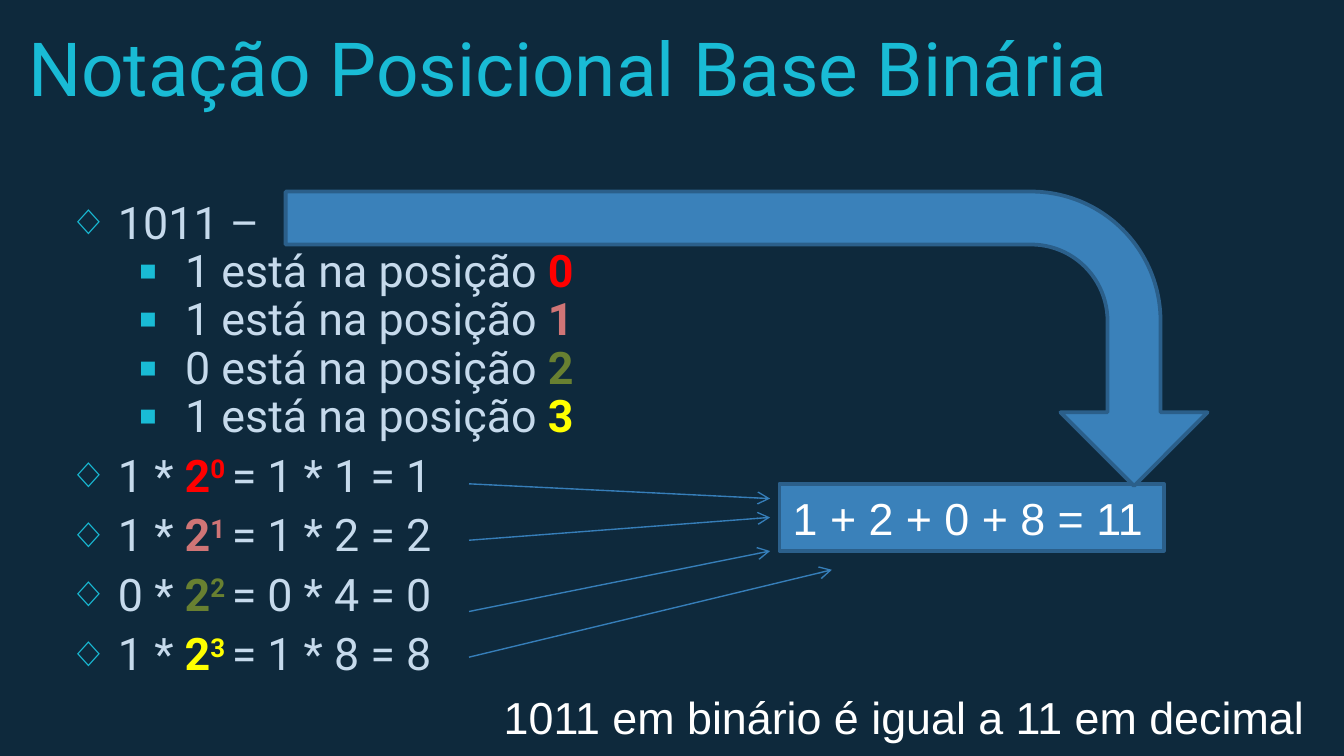
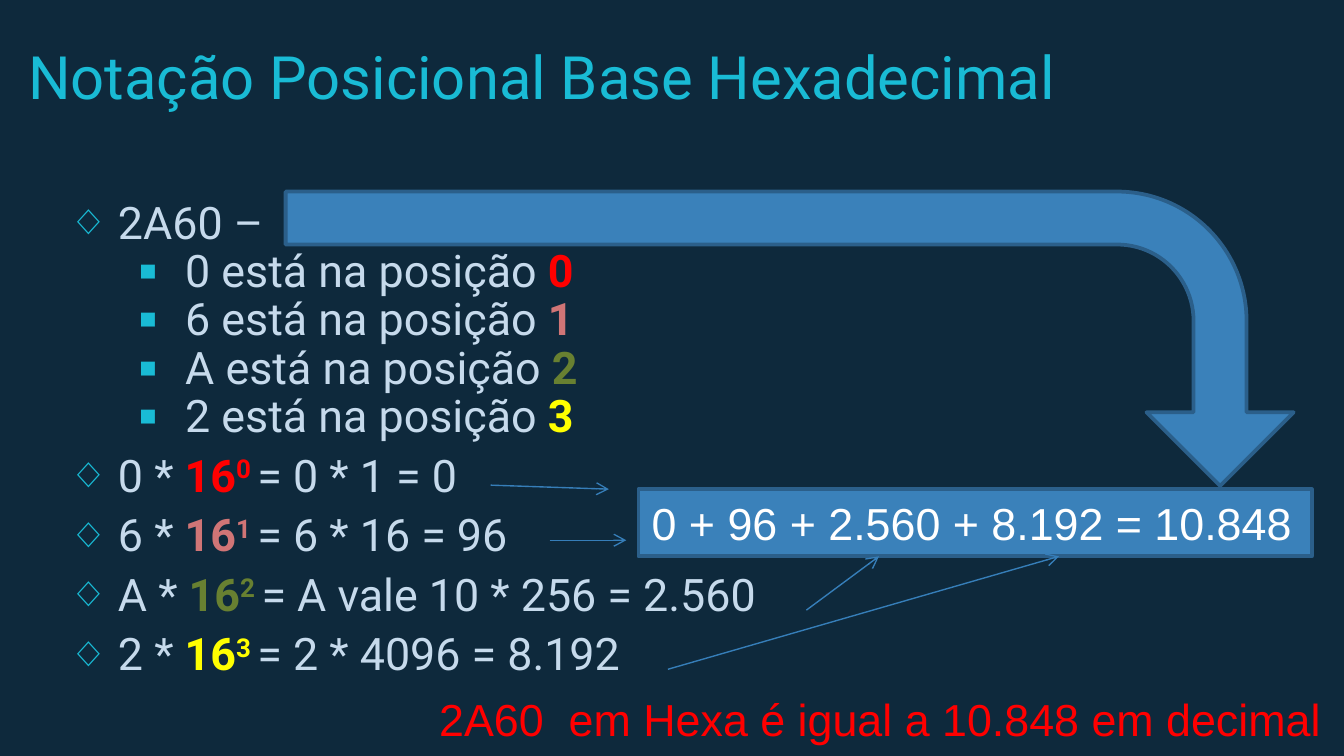
from dataclasses import dataclass

from lxml.etree import SubElement
from pptx import Presentation
from pptx.dml.color import RGBColor
from pptx.enum.shapes import MSO_CONNECTOR, MSO_SHAPE
from pptx.enum.text import MSO_ANCHOR, MSO_AUTO_SIZE, PP_ALIGN
from pptx.oxml.ns import qn
from pptx.util import Inches, Pt

WIDTH = Inches(10)
HEIGHT = WIDTH * 9 // 16
CELL = WIDTH / 100  # square grid, 100 columns wide

NAVY, CYAN, PALE, WHITE = "0E293C", "19BBD5", "C6DAEC", "FFFFFF"
BLUE, EDGE, THIN = "3A81BA", "2B5F8A", "367EB9"
RED = "FF0000"
POWERS = (RED, "D07576", "688031", "FFFF00")  # colour of each position
MARKS = (("◇", 82), ("▪", 125))  # bullet and percent of text size, by level

Run = tuple[str, str, bool, bool]  # text, colour, bold, raised


@dataclass(frozen=True)
class Box:
    left: float
    top: float
    width: float
    height: float

    def place(self) -> tuple[int, ...]:
        return tuple(cells(n) for n in
                     (self.left, self.top, self.width, self.height))


@dataclass(frozen=True)
class Term:
    digit: str
    product: str
    start: tuple[float, float]
    end: tuple[float, float]


@dataclass(frozen=True)
class Lesson:
    title: str
    size: int
    number: str
    base: int
    terms: tuple[Term, ...]
    sum: str
    sum_box: Box
    bend: float  # width of the bent arrow
    result: str
    result_box: Box
    result_hue: str


TITLE = Box(1.1, 2.2, 98, 7.1)
BODY = Box(2.8, 13.9, 95, 18.2)
BEND_LEFT, BEND_TOP, BEND_HEIGHT = 21.25, 14.25, 21.9

LESSONS = (
    Lesson(
        "Notação Posicional Base Binária", 40, "1011", 2,
        (Term("1", "1 * 1 = 1", (34.9, 36), (57.3, 37.1)),
         Term("1", "1 * 2 = 2", (34.9, 40.2), (57.3, 38.5)),
         Term("0", "0 * 4 = 0", (34.9, 45.5), (57.3, 41)),
         Term("1", "1 * 8 = 8", (34.9, 48.9), (61.9, 42.4))),
        "1 + 2 + 0 + 8 = 11", Box(58, 36, 28.6, 5), 68.6,
        "1011 em binário é igual a 11 em decimal",
        Box(36.5, 50.8, 62.7, 5), WHITE),
    Lesson(
        "Notação Posicional Base Hexadecimal", 32, "2A60", 16,
        (Term("0", "0 * 1 = 0", (36.5, 36.1), (45.3, 36.4)),
         Term("6", "6 * 16 = 96", (40.9, 40.2), (46.6, 40.2)),
         Term("A", "A vale 10 * 256 = 2.560", (60, 45.4), (65.4, 41.4)),
         Term("2", "2 * 4096 = 8.192", (49.7, 49.8), (78.8, 41.4))),
        "0 + 96 + 2.560 + 8.192 = 10.848", Box(47.5, 36.4, 50.1, 5), 75,
        "2A60  em Hexa é igual a 10.848 em decimal",
        Box(31.7, 51, 68.3, 5), RED),
)


def cells(count: float) -> int:
    return round(count * CELL)


def color(code: str) -> RGBColor:
    return RGBColor.from_string(code)


def style(par, face: str, size: int, hue: str) -> None:
    par.alignment = PP_ALIGN.LEFT
    par.font.name = face
    par.font.size = Pt(size)
    par.font.color.rgb = color(hue)


def pad(frame) -> None:
    """Give a text frame equal insets and a fixed size."""
    frame.word_wrap = True
    frame.auto_size = MSO_AUTO_SIZE.NONE
    frame.margin_left = frame.margin_right = cells(1)
    frame.margin_top = frame.margin_bottom = cells(1)


def add_title(slide, lesson: Lesson) -> None:
    title = slide.shapes.title
    title.left, title.top, title.width, title.height = TITLE.place()
    frame = title.text_frame
    pad(frame)
    frame.vertical_anchor = MSO_ANCHOR.BOTTOM
    frame.text = lesson.title
    style(frame.paragraphs[0], "Roboto", lesson.size, CYAN)


def add_mark(par, level: int) -> None:
    """Set the bullet and the hanging indent of a level."""
    char, share = MARKS[level]
    props = par._p.get_or_add_pPr()
    props.set("marL", str(cells(5 * (level + 1))))
    props.set("indent", str(cells(-3.5)))
    tint = SubElement(props, qn("a:buClr"))
    SubElement(tint, qn("a:srgbClr"), val=CYAN)
    SubElement(props, qn("a:buSzPct"), val=str(share * 1000))
    SubElement(props, qn("a:buFont"), typeface="Arial")
    SubElement(props, qn("a:buChar"), char=char)


def add_item(par, level: int, runs: list[Run]) -> None:
    """Fill one bulleted paragraph of the body."""
    par.level = level
    add_mark(par, level)
    par.line_spacing = 0.9
    par.space_before = Pt(0 if level else 6)
    style(par, "Roboto", 24, PALE)
    for text, hue, bold, raised in runs:
        run = par.add_run()
        run.text = text
        run.font.bold = bold
        run.font.color.rgb = color(hue)
        if raised:
            run.font._element.set("baseline", "30000")


def add_body(slide, lesson: Lesson) -> None:
    frame = slide.shapes.add_textbox(*BODY.place()).text_frame
    pad(frame)
    pairs = list(enumerate(zip(lesson.terms, POWERS)))
    items = [(0, [(f"{lesson.number} –", PALE, False, False)])]
    items += [(1, [(f"{term.digit} está na posição ", PALE, False, False),
                   (str(power), hue, True, False)])
              for power, (term, hue) in pairs]
    items += [(0, [(f"{term.digit} * ", PALE, False, False),
                   (str(lesson.base), hue, True, False),
                   (f"{power} ", hue, True, True),
                   (f"= {term.product}", PALE, False, False)])
              for power, (term, hue) in pairs]
    for index, (level, runs) in enumerate(items):
        par = frame.add_paragraph() if index else frame.paragraphs[0]
        add_item(par, level, runs)


def paint(shape) -> None:
    shape.shadow.inherit = False
    shape.fill.solid()
    shape.fill.fore_color.rgb = color(BLUE)
    shape.line.color.rgb = color(EDGE)
    shape.line.width = Pt(2)


def write(shape, text: str, hue: str) -> None:
    frame = shape.text_frame
    frame.word_wrap = False
    frame.auto_size = MSO_AUTO_SIZE.SHAPE_TO_FIT_TEXT
    frame.vertical_anchor = MSO_ANCHOR.TOP
    frame.text = text
    style(frame.paragraphs[0], "Arial", 24, hue)


def add_sum(slide, lesson: Lesson) -> None:
    shape = slide.shapes.add_shape(MSO_SHAPE.RECTANGLE,
                                   *lesson.sum_box.place())
    paint(shape)
    write(shape, lesson.sum, WHITE)


def add_arrow(slide, term: Term) -> None:
    ends = [cells(n) for n in term.start + term.end]
    arrow = slide.shapes.add_connector(MSO_CONNECTOR.STRAIGHT, *ends)
    arrow.line.color.rgb = color(THIN)
    arrow.line.width = Pt(0.75)
    props = arrow._element.spPr
    SubElement(props.find(qn("a:ln")), qn("a:tailEnd"), type="arrow")
    SubElement(props, qn("a:effectLst"))


def add_bend(slide, width: float) -> None:
    """Draw the bent arrow, turned a quarter about its centre."""
    shift = (width - BEND_HEIGHT) / 2
    box = Box(BEND_LEFT + shift, BEND_TOP - shift, BEND_HEIGHT, width)
    bend = slide.shapes.add_shape(MSO_SHAPE.BENT_ARROW, *box.place())
    bend.rotation = 90
    for index, share in enumerate((0.18, 0.25, 0.25, 0.44)):
        bend.adjustments[index] = share
    paint(bend)


def add_result(slide, lesson: Lesson) -> None:
    box = slide.shapes.add_textbox(*lesson.result_box.place())
    write(box, lesson.result, lesson.result_hue)


def main() -> None:
    deck = Presentation()
    deck.slide_width, deck.slide_height = WIDTH, HEIGHT
    back = deck.slide_master.background.fill
    back.solid()
    back.fore_color.rgb = color(NAVY)
    for lesson in LESSONS:
        slide = deck.slides.add_slide(
            deck.slide_layouts.get_by_name("Title Only"))
        add_title(slide, lesson)
        add_body(slide, lesson)
        add_sum(slide, lesson)
        for term in lesson.terms:
            add_arrow(slide, term)
        add_bend(slide, lesson.bend)
        add_result(slide, lesson)
    deck.save("out.pptx")


if __name__ == "__main__":
    main()
